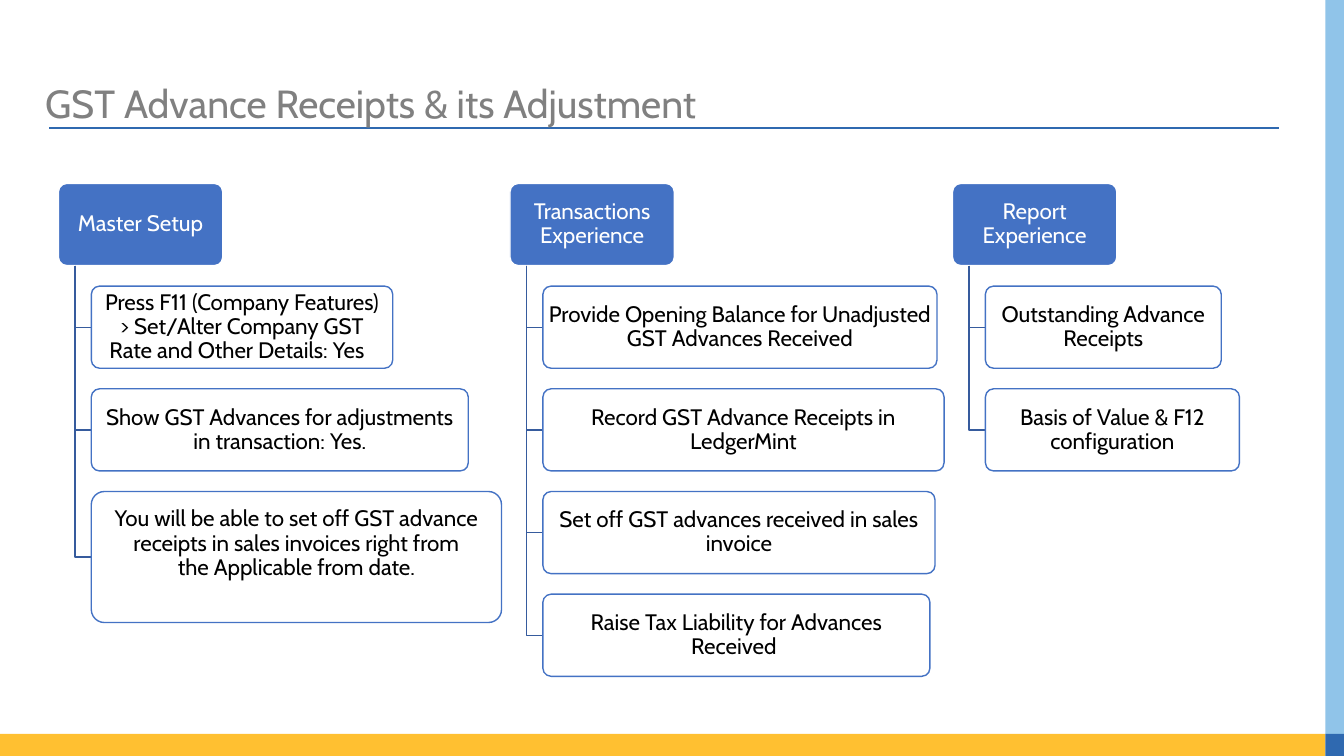
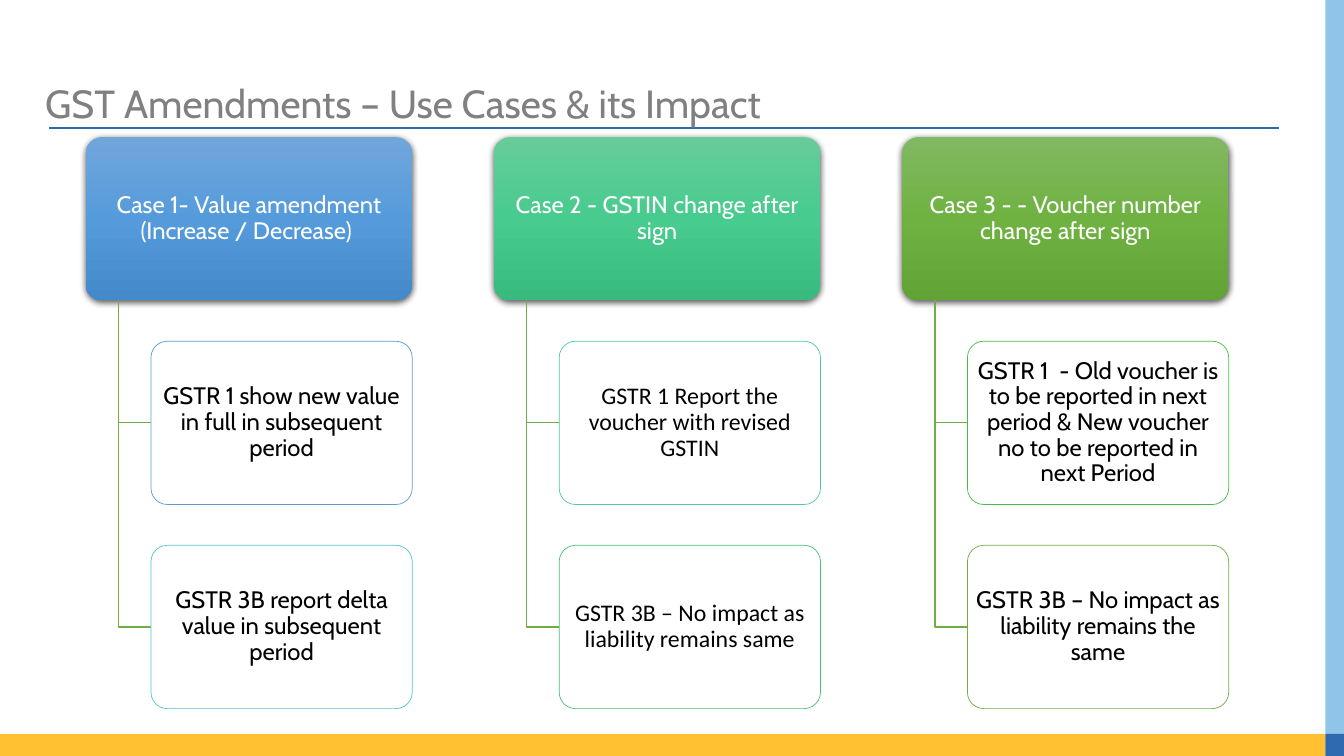
from copy import deepcopy
from dataclasses import dataclass

from lxml.etree import SubElement
from pptx import Presentation
from pptx.dml.color import RGBColor
from pptx.enum.shapes import MSO_CONNECTOR, MSO_SHAPE
from pptx.enum.text import MSO_ANCHOR, PP_ALIGN
from pptx.oxml.ns import qn
from pptx.util import Inches, Pt

SLIDE_WIDTH = 40 / 3
HARD_SPACE = chr(160)


@dataclass(frozen=True)
class Theme:
    """Colours, fonts and type sizes shared by the slides."""

    font: str = "Cabin"
    plain_font: str = "Calibri"
    title_size: int = 28
    setup_size: int = 16
    case_size: int = 17
    title: str = "808080"
    white: str = "FFFFFF"
    black: str = "000000"
    rule: str = "2F69B0"
    footer: str = "FFC031"
    side: str = "90C4E9"
    header: str = "4472C4"
    setup_link: str = "365B9D"
    case_link: str = "70AD47"


THEME = Theme()


@dataclass(frozen=True)
class Style:
    """Look of one kind of hierarchy."""

    size: int
    link: str
    outline_width: float
    side_inset: float


@dataclass(frozen=True)
class Item:
    """One box below a header; no width or height means the default."""

    text: str
    outline: str
    width: float = 0
    height: float = 0
    font: str = THEME.font
    bottom_inset: float = 0.02


SETUP = Style(THEME.setup_size, THEME.setup_link, 1, 0.03)
CASE = Style(THEME.case_size, THEME.case_link, 0.5, 0.04)


def write_text(shape, text, *, size, color, font=THEME.font, align=PP_ALIGN.CENTER,
               anchor=MSO_ANCHOR.MIDDLE, insets=(0.1, 0.05, 0.1, 0.05)):
    """Write one formatted paragraph into a shape."""
    frame = shape.text_frame
    frame.word_wrap = True
    frame.vertical_anchor = anchor
    frame.margin_left, frame.margin_top, frame.margin_right, frame.margin_bottom = map(Inches, insets)
    paragraph = frame.paragraphs[0]
    paragraph.alignment = align
    paragraph.line_spacing = 0.9
    run = paragraph.add_run()
    run.text = text
    run.font.name = font
    run.font.size = Pt(size)
    run.font.color.rgb = RGBColor.from_string(color)


def set_line(shape, color, width):
    """Set the line colour and width of a shape or connector."""
    shape.line.color.rgb = RGBColor.from_string(color)
    shape.line.width = Pt(width)


def add_box(slide, kind, left, top, width, height, fill, outline=None, outline_width=1):
    """Add a flat preset shape."""
    shape = slide.shapes.add_shape(kind, Inches(left), Inches(top), Inches(width), Inches(height))
    shape.shadow.inherit = False
    shape.fill.solid()
    shape.fill.fore_color.rgb = RGBColor.from_string(fill)
    if outline:
        set_line(shape, outline, outline_width)
    else:
        shape.line.fill.background()
    return shape


def add_rounded(slide, *geometry, **look):
    """Add a box with slightly rounded corners."""
    shape = add_box(slide, MSO_SHAPE.ROUNDED_RECTANGLE, *geometry, **look)
    shape.adjustments[0] = 0.1
    return shape


def add_rule(slide, left, right, y):
    """Add the thin rule below the title."""
    rule = slide.shapes.add_connector(MSO_CONNECTOR.STRAIGHT, *map(Inches, (left, y, right, y)))
    set_line(rule, THEME.rule, 0.82)
    SubElement(rule._element.spPr, qn("a:effectLst"))


def add_elbow(slide, left, top, right, bottom, color):
    """Add an open outline that runs down and then right."""
    builder = slide.shapes.build_freeform(Inches(left), Inches(top))
    corners = ((left, bottom), (right, bottom))
    builder.add_line_segments([(Inches(x), Inches(y)) for x, y in corners], close=False)
    elbow = builder.convert_to_shape()
    elbow.shadow.inherit = False
    elbow.fill.background()
    set_line(elbow, color, 1)


def shade(shape, colors):
    """Give a shape a three-colour downward gradient and a soft shadow."""
    shape.fill.gradient()
    shape.fill.gradient_angle = 270
    properties = shape._element.spPr
    stops = properties.find(".//" + qn("a:gsLst"))
    stops.insert(1, deepcopy(stops[0]))
    for stop, color, position in zip(shape.fill.gradient_stops, colors, (0, 0.5, 1)):
        stop.color.rgb = RGBColor.from_string(color)
        stop.position = position
    shadow = SubElement(properties.find(qn("a:effectLst")), qn("a:outerShdw"), blurRad=str(Pt(4.5)),
                        dist=str(Pt(1.5)), dir="5400000", algn="ctr", rotWithShape="0")
    color = SubElement(shadow, qn("a:srgbClr"), val=THEME.black)
    SubElement(color, qn("a:alpha"), val="63000")


def add_hierarchy(slide, left, top, width, heading, items, style, gradient=None):
    """Place a header with its linked items, in proportion to the header width."""
    height = width / 2
    gap = height / 4
    insets = (style.side_inset, 0.02, style.side_inset)
    header = add_rounded(slide, left, top, width, height, fill=THEME.header,
                         outline=None if gradient else THEME.white)
    if gradient:
        shade(header, gradient)
    write_text(header, heading, size=style.size, color=THEME.white, insets=insets + (0.02,))
    item_left = left + width * 0.2
    item_top = top + height + gap
    for item in items:
        item_height = item.height or height
        add_elbow(slide, left + width * 0.1, top + height, item_left,
                  item_top + item_height / 2, style.link)
        box = add_rounded(slide, item_left, item_top, item.width or width * 0.8, item_height,
                          fill=THEME.white, outline=item.outline, outline_width=style.outline_width)
        write_text(box, item.text, size=style.size, color=THEME.black, font=item.font,
                   insets=insets + (item.bottom_inset,))
        item_top += item_height + gap


def add_framed_slide(presentation, title):
    """Add a blank slide with the shared bands, title and rule."""
    slide = presentation.slides.add_slide(presentation.slide_layouts[6])
    side_left, footer_top = 13.15, 7.28
    side_width, footer_height = SLIDE_WIDTH - side_left, 7.5 - footer_top
    for left, top, width, height, color in (
            (0, footer_top, side_left, footer_height, THEME.footer),
            (side_left, 0, side_width, footer_top, THEME.side),
            (side_left, footer_top, side_width, footer_height, THEME.rule)):
        add_box(slide, MSO_SHAPE.RECTANGLE, left, top, width, height, color)
    add_rule(slide, 0.49, 12.69, 1.27)
    box = slide.shapes.add_textbox(Inches(0.35), Inches(0.79), Inches(12.35), Inches(0.5))
    write_text(box, title, size=THEME.title_size, color=THEME.title,
               align=PP_ALIGN.LEFT, anchor=MSO_ANCHOR.TOP)
    return slide


def add_receipts_slide(presentation):
    """Build the slide on advance receipts."""
    slide = add_framed_slide(presentation, "GST Advance Receipts & its Adjustment")
    blue = THEME.header
    columns = (
        (0.58, "Master Setup", (
            Item(f"Press{HARD_SPACE}F11{HARD_SPACE}(Company Features) >{HARD_SPACE}Set/Alter Company GST "
                 f"Rate and Other Details:{HARD_SPACE}Yes{HARD_SPACE} ", blue, 2.99),
            Item(f"Show GST Advances for adjustments in transaction:{HARD_SPACE}Yes.", blue, 3.74),
            Item("You will be able to set off GST advance receipts in sales invoices right from "
                 f"the{HARD_SPACE}Applicable from{HARD_SPACE}date.", blue, 4.07, 1.3, bottom_inset=0.28))),
        (5.06, "Transactions Experience", (
            Item("Provide Opening Balance for Unadjusted GST Advances Received", blue, 3.91),
            Item("Record GST Advance Receipts in LedgerMint", blue, 3.98),
            Item("Set off GST advances received in sales invoice", blue, 3.89),
            Item("Raise Tax Liability for Advances Received ", blue, 3.84))),
        (9.45, "Report Experience", (
            Item("Outstanding Advance Receipts", blue, 2.34),
            Item("Basis of Value & F12 configuration", blue, 2.52))),
    )
    for left, heading, items in columns:
        add_hierarchy(slide, left, 1.82, 1.63, heading, items, SETUP)


def add_amendments_slide(presentation):
    """Build the slide on amendment cases."""
    slide = add_framed_slide(presentation, "GST Amendments – Use Cases & its Impact")
    cases = (
        ("Case 1- Value amendment (Increase / Decrease) ", ("71A6DB", "559BDB", "448ACA"), (
            Item("GSTR 1 show new value in full in subsequent period", "5B9BD5"),
            Item("GSTR 3B report delta value in subsequent period", "55C3CF"))),
        ("Case 2 - GSTIN change after sign", ("67CC9A", "47CB8E", "39BB7F"), (
            Item("GSTR 1 Report the voucher with revised GSTIN", "50C8A7", font=THEME.plain_font),
            Item("GSTR 3B – No impact as liability remains same", "4BC174", font=THEME.plain_font))),
        ("Case 3 - - Voucher number change after sign", ("81B861", "6FB242", "62A336"), (
            Item("GSTR 1  - Old voucher is to be reported in next period & New voucher no "
                 "to be reported in next Period", "4ABA46"),
            Item("GSTR 3B – No impact as liability remains the same", "70AD47"))),
    )
    for column, (heading, gradient, items) in enumerate(cases):
        add_hierarchy(slide, 0.85 + 4.05 * column, 1.36, 3.24, heading, items, CASE, gradient)


def main():
    """Build and save the presentation."""
    presentation = Presentation()
    presentation.slide_width = Inches(SLIDE_WIDTH)
    presentation.slide_height = Inches(7.5)
    add_receipts_slide(presentation)
    add_amendments_slide(presentation)
    presentation.save("out.pptx")


if __name__ == "__main__":
    main()
